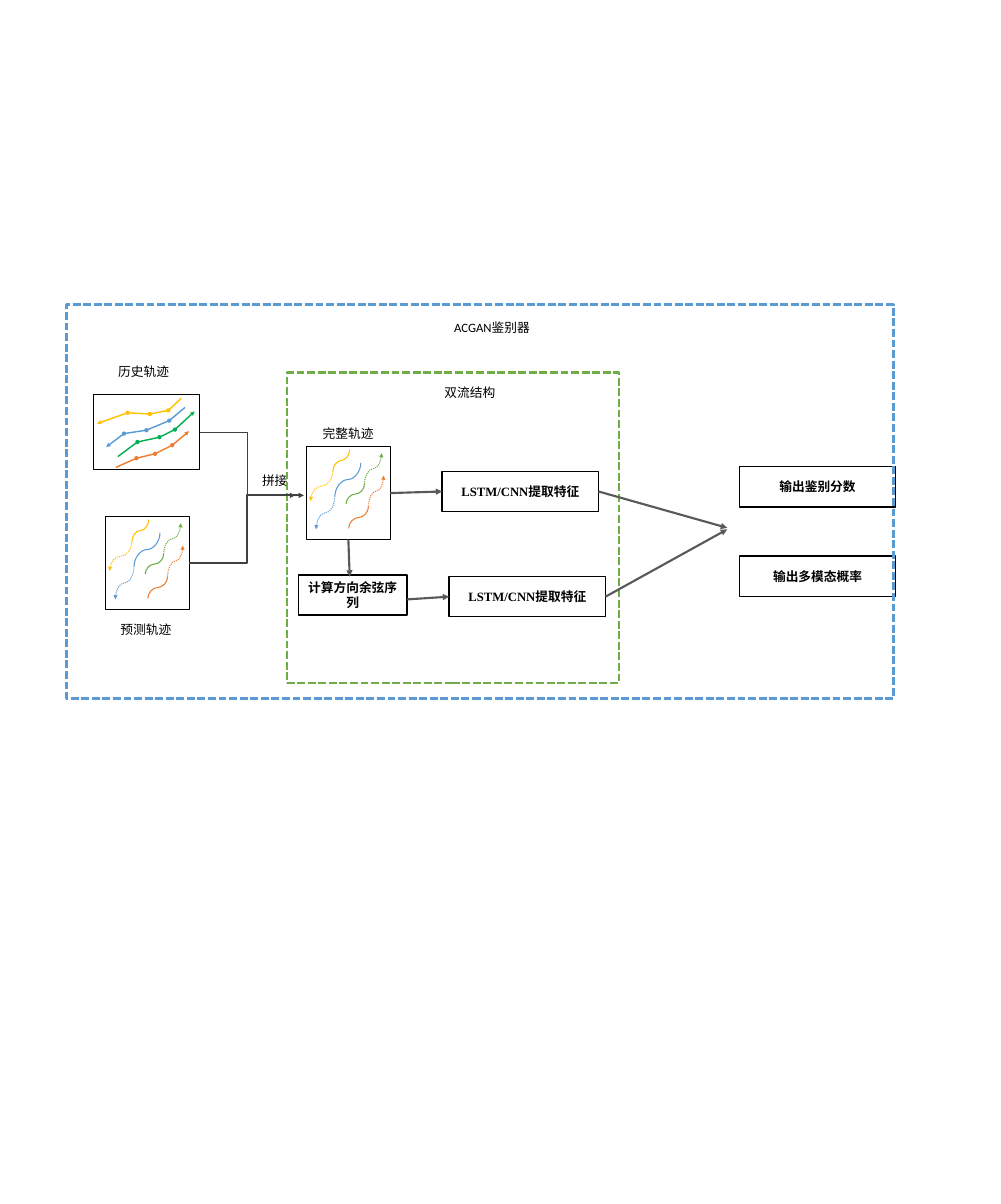
from lxml import etree
from pptx import Presentation, util as u
from pptx.dml.color import RGBColor
from pptx.enum import dml, shapes, text
from pptx.oxml.ns import qn

Cm, Pt, rgb = u.Cm, u.Pt, RGBColor.from_string
YELLOW, BLUE, GREEN, ORANGE = "FFC000", "5B9BD5", "70AD47", "ED7D31"
DASH, DOT = dml.MSO_LINE.SQUARE_DOT, dml.MSO_LINE.ROUND_DOT
STRAIGHT, ELBOW, CURVE = (shapes.MSO_CONNECTOR.STRAIGHT, shapes.MSO_CONNECTOR.ELBOW,
                          shapes.MSO_CONNECTOR.CURVE)

prs = Presentation()
prs.slide_width, prs.slide_height = Cm(50.04), Cm(60.2)
s = prs.slides.add_slide(prs.slide_layouts[5])


def box(words, x, y, w, h, sp=None, parent=s, line="000000", width=2, fill="FFFFFF",
        dash=None, font="Times New Roman", bold=True, align=text.PP_ALIGN.CENTER,
        anchor=text.MSO_ANCHOR.MIDDLE):
    """Format the given text shape, or a new bordered rectangle."""
    if sp is None:
        sp = parent.shapes.add_shape(shapes.MSO_SHAPE.RECTANGLE, 0, 0, 0, 0)
        sp.shadow.inherit = False
        sp.line.color.rgb, sp.line.width = rgb(line), Pt(width)
        if dash:
            sp.line.dash_style = dash
        if fill:
            sp.fill.solid()
            sp.fill.fore_color.rgb = rgb(fill)
        else:
            sp.fill.background()
    sp.left, sp.top, sp.width, sp.height = Cm(x), Cm(y), Cm(w), Cm(h)
    if words:
        tf = sp.text_frame
        tf.word_wrap, tf.auto_size = True, text.MSO_AUTO_SIZE.NONE
        tf.vertical_anchor = anchor
        p = tf.paragraphs[0]
        p.alignment = align
        r = p.add_run()
        r.text = words
        r.font.name, r.font.size, r.font.bold = font, Pt(18), bold
        r.font.color.rgb = rgb("000000")
    return sp


def link(start, end, kind=STRAIGHT, parent=s, color="595959", width=3, dash=None,
         head=None, tail=None):
    """Draw a connector; curves leave and arrive vertically."""
    (x1, y1), (x2, y2) = start, end
    if kind == CURVE:
        # Lay the curve on its side, then turn it a quarter about its centre
        cx, cy = (x1 + x2) / 2, (y1 + y2) / 2
        dx, dy = (y2 - y1) / 2, (x1 - x2) / 2
        x1, y1, x2, y2 = cx - dx, cy - dy, cx + dx, cy + dy
    cn = parent.shapes.add_connector(kind, Cm(x1), Cm(y1), Cm(x2), Cm(y2))
    spPr = cn._element.spPr
    if kind == CURVE:
        spPr.find(qn("a:xfrm")).set("rot", "5400000")
    cn.line.color.rgb, cn.line.width = rgb(color), Pt(width)
    if dash:
        cn.line.dash_style = dash
    ln = spPr.find(qn("a:ln"))
    for tag, style in (("a:headEnd", head), ("a:tailEnd", tail)):
        if style:
            etree.SubElement(ln, qn(tag)).set("type", style)
    etree.SubElement(spPr, qn("a:effectLst"))
    return cn


# Title and labels
label = dict(font="Calibri", bold=False, align=text.PP_ALIGN.LEFT, anchor=text.MSO_ANCHOR.TOP)
box("ACGAN鉴别器", 22.45, 15.88, 6.76, 1.02, sp=s.shapes.title, **label)
for words, x, y in [("历史轨迹", 5.66, 18.08), ("预测轨迹", 5.77, 30.96), ("拼接", 12.85, 23.5),
                    ("完整轨迹", 15.88, 21.16), ("双流结构", 21.97, 19.13)]:
    box(words, x, y, 4.01, 1.02, sp=s.shapes.add_textbox(0, 0, 0, 0), **label)

# History panel: each track runs from its arrow tip to its plain end
history = s.shapes.add_group_shape()
box("", 4.67, 19.74, 5.31, 3.73, parent=history, width=1.5)
for color, pts in [
    (YELLOW, [(4.85, 21.18), (6.38, 20.64), (7.49, 20.7), (8.41, 20.52), (9.07, 19.91)]),
    (BLUE, [(5.31, 22.35), (6.2, 21.68), (7.32, 21.51), (8.46, 21.03), (9.25, 20.37)]),
    ("00B050", [(9.73, 20.57), (8.74, 21.48), (7.97, 21.86), (6.87, 22.1), (5.89, 22.83)]),
    (ORANGE, [(9.45, 21.56), (8.61, 22.26), (7.75, 22.69), (6.82, 22.91), (5.79, 23.37)]),
]:
    link(pts[1], pts[0], parent=history, color=color, width=2, tail="triangle")
    for a, b in zip(pts[1:], pts[2:]):
        link(a, b, parent=history, color=color, width=2, head="oval")

# Predicted and complete panels: solid past, junction, dotted future
tracks = [
    (BLUE, (2.72, 0.81), (1.42, 2.49), (0.48, 4.14)),
    (ORANGE, (2.11, 4.09), (3.1, 3.0), (3.86, 1.45)),
    (GREEN, (1.98, 2.87), (2.9, 1.88), (3.76, 0.33)),
    (YELLOW, (2.16, 0.15), (1.32, 1.24), (0.2, 2.72)),
]
for left, top in [(5.28, 25.83), (15.32, 22.33)]:
    panel = s.shapes.add_group_shape()
    complete = box("", left, top, 4.19, 4.65, parent=panel, width=1.5)
    for color, *pts in tracks:
        past, now, future = [(left + x, top + y) for x, y in pts]
        link(now, past, CURVE, panel, color, 1.5)
        link(now, future, CURVE, panel, color, 1.5, dash=DOT, tail="triangle")

# Processing and output boxes
feature_top, cosine, feature_bottom, score, modes = [
    box(words, x, y, w, 2.01) for words, x, y, w in [
        ("LSTM/CNN提取特征", 22.1, 23.57, 7.82),
        ("计算方向余弦序列", 14.91, 28.75, 5.44),
        ("LSTM/CNN提取特征", 22.45, 28.83, 7.82),
        ("输出鉴别分数", 36.96, 23.34, 7.82),
        ("输出多模态概率", 36.96, 27.81, 7.82)]]

# Dashed frames
box("", 14.35, 18.64, 16.59, 15.52, line=GREEN, width=3.75, fill=None, dash=DASH)
box("", 3.33, 15.24, 41.33, 19.69, line=BLUE, width=3.75, fill=None, dash=DASH)

# Joining of history and prediction
for start, end in [((9.98, 21.62), (14.76, 24.77)), ((9.47, 28.17), (15.19, 24.77))]:
    link(start, end, ELBOW, color="404040", width=2.5, tail="triangle")

# Flow arrows, joined where they meet the middle of a side
for start, end, source, side, target in [
    ((19.51, 24.65), (22.1, 24.57), complete, 3, feature_top),
    ((17.42, 26.98), (17.48, 28.83), complete, 2, None),
    ((20.35, 29.97), (22.45, 29.83), None, 3, feature_bottom),
    ((29.92, 24.57), (36.35, 26.39), feature_top, 3, None),
    ((30.27, 29.83), (36.35, 26.47), feature_bottom, 3, None),
]:
    cn = link(start, end, tail="triangle")
    if source:
        cn.begin_connect(source, side)
    if target:
        cn.end_connect(target, 1)

prs.save("out.pptx")
